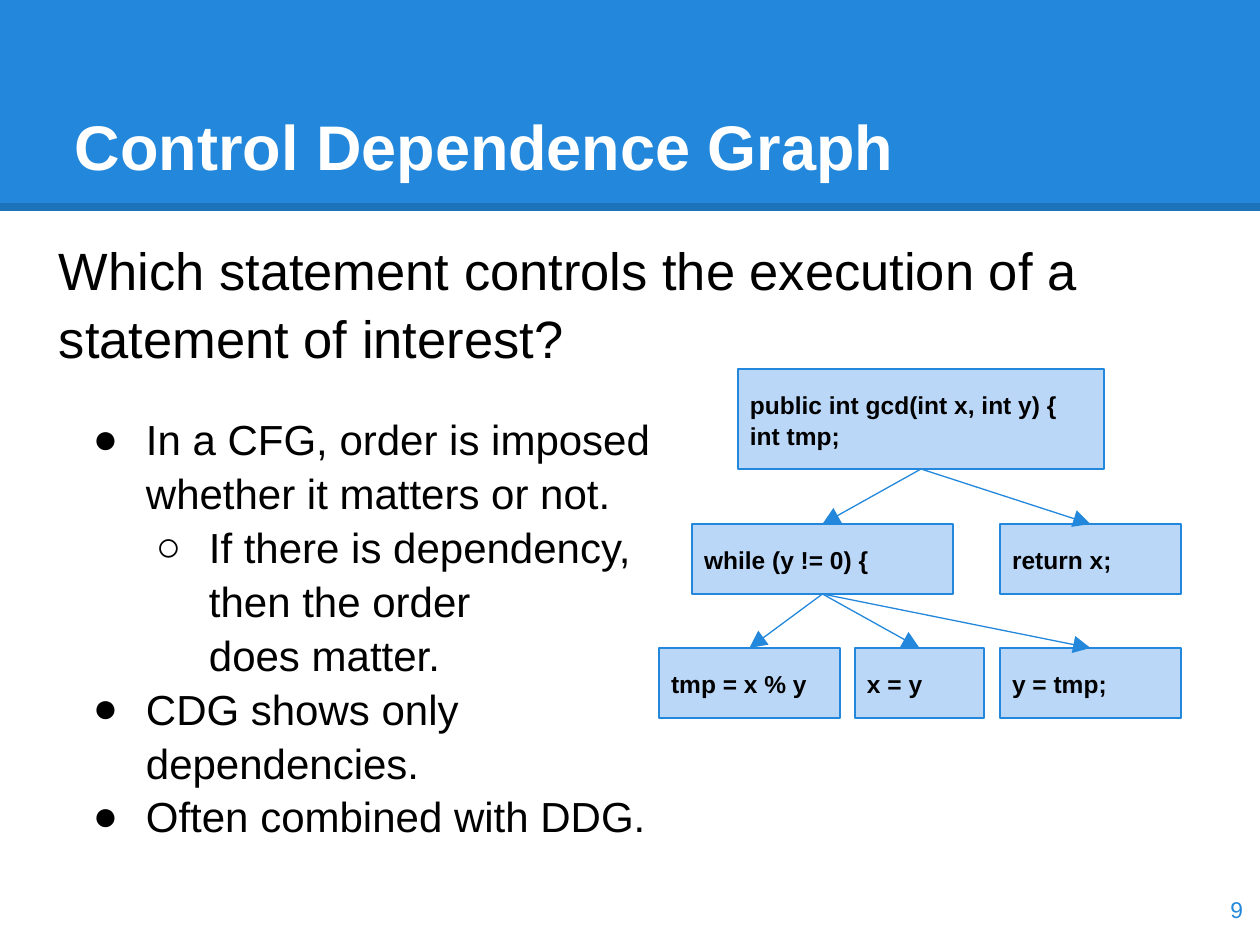
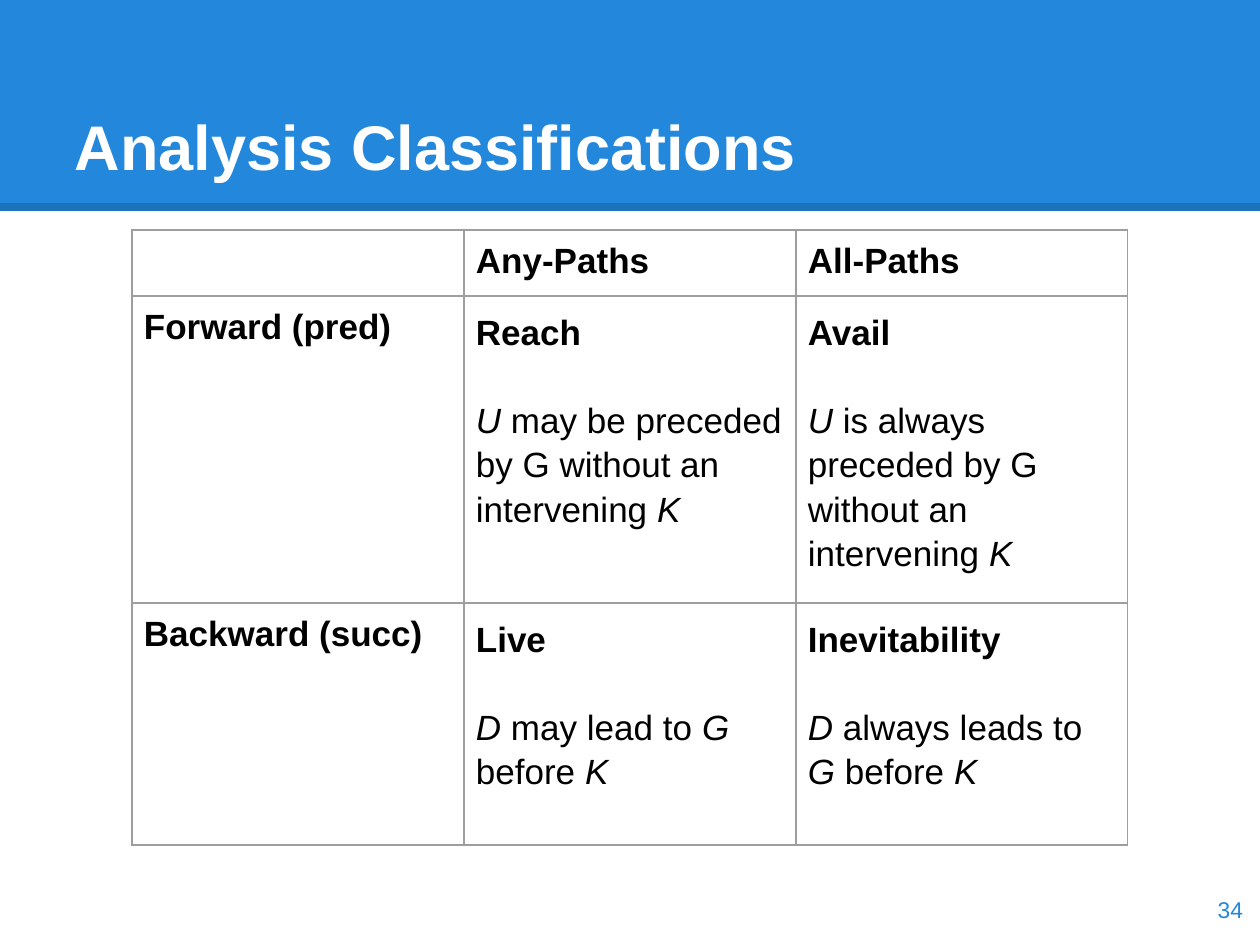
"""Build two program-analysis slides: a control dependence graph and a table of analysis classes."""
from lxml.etree import SubElement
from pptx import Presentation
from pptx.dml.color import RGBColor
from pptx.enum.shapes import MSO_CONNECTOR, MSO_SHAPE
from pptx.enum.text import MSO_ANCHOR, PP_ALIGN
from pptx.oxml.ns import qn
from pptx.util import Pt

COLORS = {"blue": "2388DB", "pale": "BBD7F8", "black": "000000", "white": "FFFFFF", "grid": "9E9E9E"}
FONT = "Arial"
PX = 914400 / 126
MARGIN = round(12 * PX)
BODY_SPACING = 1.07
TABLE_SPACING = 1.14


def add_box(slide, left, top, width, height, fill=None, line=None, anchor=MSO_ANCHOR.TOP):
    place = [round(length * PX) for length in (left, top, width, height)]
    if fill:
        box = slide.shapes.add_shape(MSO_SHAPE.RECTANGLE, *place)
        box.shadow.inherit = False
        box.fill.solid()
        box.fill.fore_color.rgb = RGBColor.from_string(COLORS[fill])
        if line:
            box.line.color.rgb = RGBColor.from_string(COLORS[line])
            box.line.width = Pt(0.75)
        else:
            box.line.fill.background()
    else:
        box = slide.shapes.add_textbox(*place)
    frame = box.text_frame
    frame.word_wrap = True
    frame.vertical_anchor = anchor
    frame.margin_left = frame.margin_right = frame.margin_top = frame.margin_bottom = MARGIN
    return box


def write(frame, text, size=20, color="black", bold=False, align=PP_ALIGN.LEFT,
          spacing=None, before=0, bullet=None, level=0):
    """Add one paragraph; *stars* mark italics and a newline marks a line break."""
    paragraph = frame.paragraphs[0] if not frame.text else frame.add_paragraph()
    paragraph.alignment = align
    if spacing:
        paragraph.line_spacing = spacing
    if before:
        paragraph.space_before = Pt(before)
    if bullet:
        props = paragraph._p.get_or_add_pPr()
        props.set("marL", str(round(63 * (level + 1) * PX)))
        props.set("indent", str(round(-53 * PX)))
        SubElement(SubElement(props, qn("a:buClr")), qn("a:srgbClr"), val=COLORS[color])
        SubElement(props, qn("a:buFont"), typeface=FONT)
        SubElement(props, qn("a:buChar"), char=bullet)
        paragraph.level = level
    for row, line in enumerate(text.split("\n")):
        if row:
            paragraph.add_line_break()
        for part, words in enumerate(line.split("*")):
            if words:
                run = paragraph.add_run()
                run.text = words
                run.font.name = FONT
                run.font.size = Pt(size)
                run.font.bold = bold
                run.font.italic = part % 2 == 1
                run.font.color.rgb = RGBColor.from_string(COLORS[color])


deck = Presentation()
deck.slide_width = round(1260 * PX)
deck.slide_height = round(945 * PX)

slides = []
for title, number in [("Control Dependence Graph", "9"), ("Analysis Classifications", "34")]:
    slide = deck.slides.add_slide(deck.slide_layouts[6])
    add_box(slide, 0, 0, 1260, 211, fill="blue")
    edge = slide.shapes.add_connector(
        MSO_CONNECTOR.STRAIGHT, 0, round(207 * PX), deck.slide_width, round(207 * PX))
    edge.line.width = Pt(4.5)
    edge.line.color.rgb = RGBColor.from_string(COLORS["black"])
    SubElement(edge._element.spPr.find(".//" + qn("a:srgbClr")), qn("a:alpha"), val="15000")
    SubElement(edge._element.spPr, qn("a:effectLst"))
    heading = add_box(slide, 63, 38, 1134, 157, anchor=MSO_ANCHOR.BOTTOM)
    write(heading.text_frame, title, size=36, color="white", bold=True)
    page = add_box(slide, 1179, 873, 76, 72, anchor=MSO_ANCHOR.MIDDLE)
    write(page.text_frame, number, size=13, color="blue", align=PP_ALIGN.RIGHT)
    slides.append(slide)
graph_slide, table_slide = slides

question = add_box(graph_slide, 47, 222, 1134, 184)
write(question.text_frame, "Which statement controls the execution of a statement of interest?",
      size=30, spacing=BODY_SPACING)
points = add_box(graph_slide, 71, 398, 655, 400)
for level, point in [
    (0, "In a CFG, order is imposed whether it matters or not."),
    (1, "If there is dependency, then the order\ndoes matter."),
    (0, "CDG shows only dependencies."),
    (0, "Often combined with DDG."),
]:
    write(points.text_frame, point, size=24, spacing=BODY_SPACING, bullet="●○"[level], level=level)

statements = {
    "entry": (["public int gcd(int x, int y) {", "int tmp;"], 738, 369, 366, 100),
    "loop": (["while (y != 0) {"], 692, 524, 261, 70),
    "return": (["return x;"], 1000, 524, 181, 70),
    "remainder": (["tmp = x % y"], 659, 648, 181, 70),
    "shift": (["x = y"], 855, 648, 129, 70),
    "assign": (["y = tmp;"], 1000, 648, 181, 70),
}
nodes = {}
for key, (code, *place) in statements.items():
    nodes[key] = add_box(graph_slide, *place, fill="pale", line="blue", anchor=MSO_ANCHOR.MIDDLE)
    for code_line in code:
        write(nodes[key].text_frame, code_line, size=14, bold=True, spacing=BODY_SPACING)

for controller, dependents in [("entry", ["return", "loop"]), ("loop", ["remainder", "shift", "assign"])]:
    for dependent in dependents:
        arrow = graph_slide.shapes.add_connector(MSO_CONNECTOR.STRAIGHT, 0, 0, 0, 0)
        arrow.begin_connect(nodes[controller], 2)
        arrow.end_connect(nodes[dependent], 0)
        arrow.line.color.rgb = RGBColor.from_string(COLORS["blue"])
        arrow.line.width = Pt(0.75)
        SubElement(arrow.line._get_or_add_ln(), qn("a:tailEnd"), type="triangle", w="lg", len="lg")
        SubElement(arrow._element.spPr, qn("a:effectLst"))

classes = [
    [[], ["Any-Paths"], ["All-Paths"]],
    [["Forward (pred)"],
     ["Reach", "*U* may be preceded by G without an intervening *K*"],
     ["Avail", "*U* is always preceded by G without an intervening *K*"]],
    [["Backward (succ)"],
     ["Live", "*D* may lead to *G* before *K*"],
     ["Inevitability", "*D* always leads to *G* before *K*"]],
]
row_heights = [64, 292, 242]
column_width = 332
grid = table_slide.shapes.add_table(
    3, 3, round(132 * PX), round(230 * PX), round(3 * column_width * PX), round(sum(row_heights) * PX)).table
grid.first_row = grid.horz_banding = False
for column in grid.columns:
    column.width = round(column_width * PX)
for row, height, entries in zip(grid.rows, row_heights, classes):
    row.height = round(height * PX)
    for cell, entry in zip(row.cells, entries):
        cell.margin_left = cell.margin_right = cell.margin_top = cell.margin_bottom = MARGIN
        for side in ("a:lnL", "a:lnR", "a:lnT", "a:lnB"):
            border = SubElement(cell._tc.get_or_add_tcPr(), qn(side), w=str(Pt(0.75)))
            SubElement(SubElement(border, qn("a:solidFill")), qn("a:srgbClr"), val=COLORS["grid"])
        cell.fill.background()
        spacing = TABLE_SPACING if len(entry) > 1 else None
        for order, text in enumerate(entry):
            write(cell.text_frame, text, bold=order == 0, spacing=spacing, before=25 * order)

deck.save("out.pptx")
